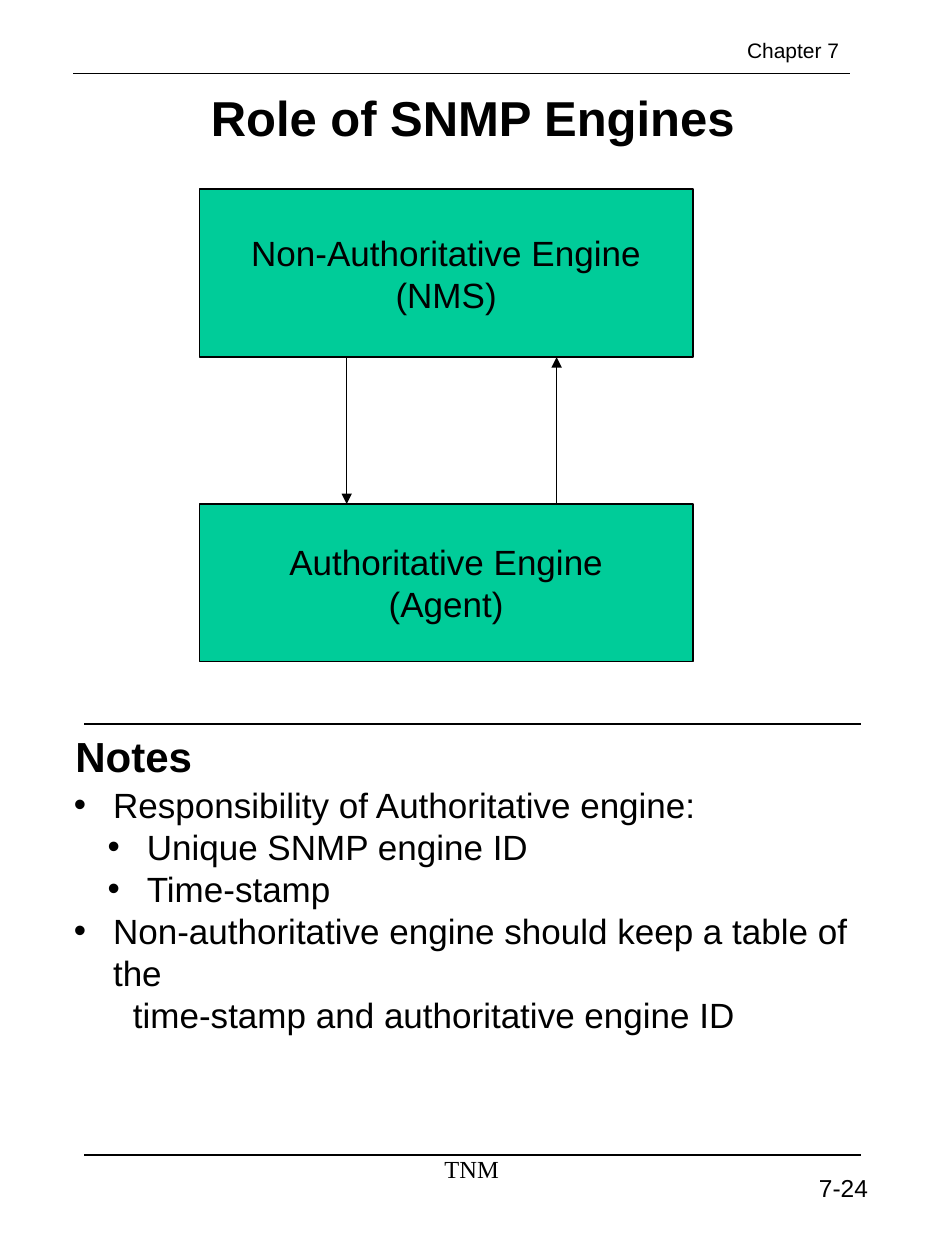
from lxml.etree import SubElement
from pptx import Presentation
from pptx.dml.color import RGBColor
from pptx.enum.shapes import MSO_CONNECTOR, MSO_SHAPE
from pptx.enum.text import MSO_ANCHOR, PP_ALIGN
from pptx.oxml.ns import qn
from pptx.util import Cm, Pt


def color(hex_text):
    return RGBColor.from_string(hex_text)


class PageBuilder:
    """Holds the style and the current slide."""

    ink = "000000"
    engine_fill = "00CC99"
    body_size = 20

    def __init__(self, page):
        self.page = page

    def write_line(self, para, text, align=PP_ALIGN.LEFT, **formats):
        para.alignment = align
        span = para.add_run()
        span.text = text
        values = {"name": "Arial", "size": Pt(self.body_size), "bold": False}
        for key, value in (values | formats).items():
            setattr(span.font, key, value)
        span.font.color.rgb = color(self.ink)

    def indent(self, para, margin, hanging=0.0, bullet=None):
        properties = para._p.get_or_add_pPr()
        properties.set("marL", str(Cm(margin)))
        properties.set("indent", str(-Cm(hanging)))
        if bullet:
            SubElement(properties, qn("a:buFont")).set("typeface", "Arial")
            SubElement(properties, qn("a:buChar")).set("char", bullet)

    def text_box(self, left, top, width, height, wrap=True):
        box = self.page.shapes.add_textbox(Cm(left), Cm(top), Cm(width), Cm(height))
        box.text_frame.word_wrap = wrap
        return box.text_frame

    def label(self, text, place, wrap=True, margin=0.0, **formats):
        para = self.text_box(*place, wrap=wrap).paragraphs[0]
        self.indent(para, margin)
        self.write_line(para, text, **formats)

    def engine(self, lines, left, top, width, height):
        box = self.page.shapes.add_shape(
            MSO_SHAPE.RECTANGLE, Cm(left), Cm(top), Cm(width), Cm(height))
        box.shadow.inherit = False
        box.fill.solid()
        box.fill.fore_color.rgb = color(self.engine_fill)
        box.line.color.rgb = color(self.ink)
        box.line.width = Pt(0.75)
        frame = box.text_frame
        frame.word_wrap = False
        frame.vertical_anchor = MSO_ANCHOR.MIDDLE
        for index, text in enumerate(lines):
            para = frame.add_paragraph() if index else frame.paragraphs[0]
            self.write_line(para, text, align=PP_ALIGN.CENTER)

    def line(self, start, end, width=1.0, arrow=False):
        link = self.page.shapes.add_connector(
            MSO_CONNECTOR.STRAIGHT, *map(Cm, start + end))
        link.line.color.rgb = color(self.ink)
        link.line.width = Pt(width)
        if arrow:
            SubElement(link.line._get_or_add_ln(), qn("a:tailEnd")).set("type", "triangle")
        SubElement(link._element.spPr, qn("a:effectLst"))

    def rule(self, left, top, length=15.66):
        self.line((left, top), (left + length, top))

    def notes(self, entries, *place):
        frame = self.text_box(*place)
        for index, (text, margin, hanging, bullet) in enumerate(entries):
            para = frame.add_paragraph() if index else frame.paragraphs[0]
            self.indent(para, margin, hanging, bullet)
            self.write_line(para, text)


def main():
    deck = Presentation()
    deck.slide_width, deck.slide_height = Cm(19.05), Cm(25.4)
    builder = PageBuilder(deck.slides.add_slide(deck.slide_layouts[6]))

    # Header and title
    builder.label("Chapter 7", (14.81, 0.64, 2.36, 0.76), wrap=False, size=Pt(12))
    builder.rule(1.48, 1.48)
    builder.label("Role of SNMP Engines", (1.7, 1.63, 15.66, 1.45),
                  align=PP_ALIGN.CENTER, size=Pt(28), bold=True)

    # Engines and the messages between them
    left, width = 4.02, 9.95
    upper_top, upper_height = 3.81, 3.39
    lower_top, lower_height = 10.16, 3.18
    upper_bottom = upper_top + upper_height
    builder.engine(["Non-Authoritative Engine", "(NMS)"],
                   left, upper_top, width, upper_height)
    builder.engine(["Authoritative Engine", "(Agent)"],
                   left, lower_top, width, lower_height)
    builder.line((6.99, upper_bottom), (6.99, lower_top), 0.75, arrow=True)
    builder.line((11.22, lower_top), (11.22, upper_bottom), 0.75, arrow=True)

    # Notes: text, margin, hanging indent, bullet
    builder.rule(1.7, 14.6)
    builder.label("Notes", (0, 14.6, 4.24, 1.27), margin=1.27, size=Pt(24), bold=True)
    builder.notes([
        ("Responsibility of Authoritative engine:", 0.79, 0.79, "•"),
        ("Unique SNMP engine ID", 1.47, 0.79, "•"),
        ("Time-stamp", 1.47, 0.79, "•"),
        ("Non-authoritative engine should keep a table of the", 0.79, 0.79, "•"),
        ("time-stamp and authoritative engine ID", 1.19, 0, None),
    ], 1.24, 15.67, 17.15, 4.5)

    # Footer
    builder.rule(1.7, 23.28)
    builder.label("TNM", (6.5, 23.14, 6.02, 1.7), align=PP_ALIGN.CENTER,
                  name="Times New Roman", size=Pt(14))
    builder.label("7-24", (16.26, 23.52, 1.5, 0.86), wrap=False, size=Pt(14))

    deck.save("out.pptx")


if __name__ == "__main__":
    main()
